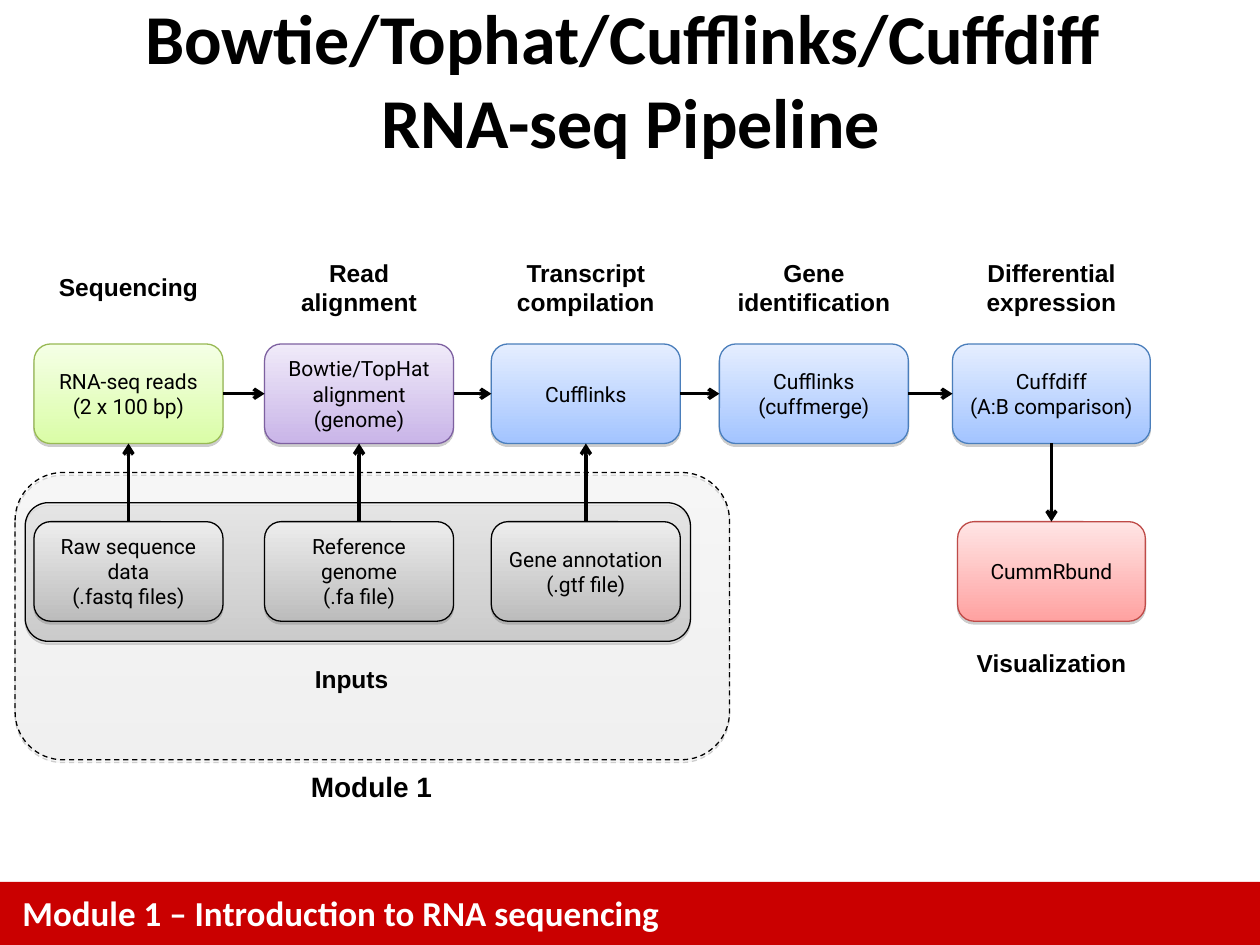
from dataclasses import dataclass

from lxml import etree
from pptx import Presentation
from pptx.dml.color import RGBColor
from pptx.enum.dml import MSO_LINE
from pptx.enum.shapes import MSO_CONNECTOR, MSO_SHAPE
from pptx.enum.text import MSO_ANCHOR, MSO_AUTO_SIZE, PP_ALIGN
from pptx.oxml.ns import qn
from pptx.util import Inches, Pt

ROUNDED, RECTANGLE = MSO_SHAPE.ROUNDED_RECTANGLE, MSO_SHAPE.RECTANGLE
STRAIGHT = MSO_CONNECTOR.STRAIGHT
LEFT, CENTER = PP_ALIGN.LEFT, PP_ALIGN.CENTER
MIDDLE, TOP_ANCHOR = MSO_ANCHOR.MIDDLE, MSO_ANCHOR.TOP
FIT_TEXT, NO_FIT = MSO_AUTO_SIZE.SHAPE_TO_FIT_TEXT, MSO_AUTO_SIZE.NONE
DASH = MSO_LINE.DASH
TOP_SITE, LEFT_SITE, BOTTOM_SITE, RIGHT_SITE = range(4)
TITLE_ONLY = 5


@dataclass(frozen=True)
class Palette:
    start: str
    end: str
    line: str


@dataclass(frozen=True)
class Theme:
    black: str = "000000"
    white: str = "FFFFFF"
    banner: str = "CA0000"
    shadow: str = "808080"
    green: Palette = Palette("F5FFE6", "DAFDA7", "98B954")
    purple: Palette = Palette("F0EAF9", "C9B5E8", "7D60A0")
    blue: Palette = Palette("E5EEFF", "A3C4FF", "4A7EBB")
    red: Palette = Palette("FFE5E5", "FFA2A1", "BE4B48")
    grey: Palette = Palette("EDEDED", "BCBCBC", "000000")
    heading_font: str = "Calibri"
    label_font: str = "Arial"
    card_font: str = "Roboto"
    title_size: int = 40
    footer_size: int = 20
    module_size: int = 16
    label_size: int = 14
    card_size: int = 12


THEME = Theme()


@dataclass(frozen=True)
class Box:
    left: float
    top: float
    width: float
    height: float

    def lengths(self) -> list[int]:
        return [Inches(value) for value in (self.left, self.top, self.width, self.height)]


@dataclass(frozen=True)
class Stage:
    label: str
    label_width: float
    text: str
    left: float
    width: float
    palette: Palette


STAGES = [
    Stage("Sequencing", 1.36, "RNA-seq reads (2 x 100 bp)", 0.27, 1.5, THEME.green),
    Stage("Read alignment", 1.36, "Bowtie/TopHat alignment (genome)", 2.1, 1.5, THEME.purple),
    Stage("Transcript compilation", 1.81, "Cufflinks", 3.9, 1.5, THEME.blue),
    Stage("Gene identification", 1.81, "Cufflinks (cuffmerge)", 5.71, 1.5, THEME.blue),
    Stage("Differential expression", 1.81, "Cuffdiff\n(A:B comparison)", 7.56, 1.57, THEME.blue),
]
INPUTS = ["Raw sequence data\n(.fastq files)", "Reference genome\n(.fa file)",
          "Gene annotation\n(.gtf file)"]
STAGE_TOP, LOWER_TOP, CARD_HEIGHT = 2.73, 4.14, 0.79
LABEL_MIDDLE = 2.28


def style_font(font, name: str, size: int, color: str, bold: bool) -> None:
    font.name, font.size, font.bold = name, Pt(size), bold
    font.color.rgb = RGBColor.from_string(color)


def add_shadow(shape) -> None:
    shape.shadow.inherit = False
    effects = shape._element.spPr.find(qn("a:effectLst"))
    shadow = etree.SubElement(effects, qn("a:outerShdw"), blurRad="0", dist=str(Pt(1.6)),
                              dir="5400000", rotWithShape="0")
    color = etree.SubElement(shadow, qn("a:srgbClr"), val=THEME.shadow)
    etree.SubElement(color, qn("a:alpha"), val="38000")


def add_panel(slide, box: Box, palette: Palette, opacity: int = 100):
    shape = slide.shapes.add_shape(ROUNDED, *box.lengths())
    shape.fill.gradient()
    shape.fill.gradient_angle = 270
    for stop, color in zip(shape.fill.gradient_stops, (palette.start, palette.end)):
        stop.color.rgb = RGBColor.from_string(color)
    if opacity < 100:
        for color in shape._element.spPr.iter(qn("a:srgbClr")):
            etree.SubElement(color, qn("a:alpha"), val=str(opacity * 1000))
    shape.line.color.rgb = RGBColor.from_string(palette.line)
    shape.line.width = Pt(0.75)
    add_shadow(shape)
    return shape


def add_card(slide, box: Box, text: str, palette: Palette):
    shape = add_panel(slide, box, palette)
    frame = shape.text_frame
    frame.text = text
    frame.vertical_anchor = MIDDLE
    for paragraph in frame.paragraphs:
        paragraph.alignment = CENTER
        style_font(paragraph.font, THEME.card_font, THEME.card_size, THEME.black, False)
    return shape


def add_label(slide, box: Box, text: str, size: int = THEME.label_size,
              font: str = THEME.label_font, color: str = THEME.black,
              alignment: PP_ALIGN = CENTER) -> None:
    text_box = slide.shapes.add_textbox(*box.lengths())
    frame = text_box.text_frame
    frame.word_wrap, frame.auto_size = True, FIT_TEXT
    frame.vertical_anchor = TOP_ANCHOR
    paragraph = frame.paragraphs[0]
    paragraph.text, paragraph.alignment = text, alignment
    style_font(paragraph.font, font, size, color, True)


def add_arrow(slide, source, source_site: int, target, target_site: int) -> None:
    connector = slide.shapes.add_connector(STRAIGHT, 0, 0, 0, 0)
    connector.begin_connect(source, source_site)
    connector.end_connect(target, target_site)
    connector.line.color.rgb = RGBColor.from_string(THEME.black)
    connector.line.width = Pt(2)
    properties = connector._element.spPr
    etree.SubElement(properties.find(qn("a:ln")), qn("a:tailEnd"), type="arrow")
    etree.SubElement(properties, qn("a:effectLst"))


def add_footer(slide) -> None:
    banner = slide.shapes.add_shape(RECTANGLE, *Box(0, 7, 10, 0.5).lengths())
    banner.shadow.inherit = False
    banner.fill.solid()
    banner.fill.fore_color.rgb = RGBColor.from_string(THEME.banner)
    banner.line.fill.background()
    add_label(slide, Box(0.08, 7.03, 7.33, 0.44), "Module 1 – Introduction to RNA sequencing",
              THEME.footer_size, THEME.heading_font, THEME.white, LEFT)


def add_title(slide) -> None:
    title = slide.shapes.title
    title.left, title.top, title.width, title.height = Box(0.17, 0, 9.67, 1.25).lengths()
    frame = title.text_frame
    frame.auto_size, frame.vertical_anchor = NO_FIT, MIDDLE
    paragraph = frame.paragraphs[0]
    paragraph.text = "Bowtie/Tophat/Cufflinks/Cuffdiff \vRNA-seq Pipeline"
    paragraph.alignment = CENTER
    style_font(paragraph.font, THEME.heading_font, THEME.title_size, THEME.black, True)


def add_stage(slide, stage: Stage):
    height = 0.57 if " " in stage.label else 0.34
    left = stage.left + (stage.width - stage.label_width) / 2
    add_label(slide, Box(left, LABEL_MIDDLE - height / 2, stage.label_width, height),
              stage.label)
    return add_card(slide, Box(stage.left, STAGE_TOP, stage.width, CARD_HEIGHT),
                    stage.text, stage.palette)


def main() -> None:
    presentation = Presentation()
    presentation.slide_width, presentation.slide_height = Inches(10), Inches(7.5)
    slide = presentation.slides.add_slide(presentation.slide_layouts[TITLE_ONLY])
    add_footer(slide)
    module_panel = add_panel(slide, Box(0.12, 3.75, 5.67, 2.28), THEME.grey, 13)
    module_panel.line.dash_style = DASH
    add_panel(slide, Box(0.2, 3.99, 5.28, 1.1), THEME.grey, 51)
    add_title(slide)

    stage_cards = [add_stage(slide, stage) for stage in STAGES]
    for source, target in zip(stage_cards, stage_cards[1:]):
        add_arrow(slide, source, RIGHT_SITE, target, LEFT_SITE)

    viewer = add_card(slide, Box(7.6, LOWER_TOP, 1.49, CARD_HEIGHT), "CummRbund", THEME.red)
    add_label(slide, Box(7.44, 5.09, 1.81, 0.34), "Visualization")
    add_arrow(slide, stage_cards[-1], BOTTOM_SITE, viewer, TOP_SITE)

    for text, stage, stage_card in zip(INPUTS, STAGES, stage_cards):
        box = Box(stage.left, LOWER_TOP, stage.width, CARD_HEIGHT)
        input_card = add_card(slide, box, text, THEME.grey)
        add_arrow(slide, input_card, TOP_SITE, stage_card, BOTTOM_SITE)

    add_label(slide, Box(2.4, 5.22, 0.86, 0.34), "Inputs", alignment=LEFT)
    add_label(slide, Box(2.37, 6.06, 1.2, 0.37), "Module 1", THEME.module_size, alignment=LEFT)
    presentation.save("out.pptx")


if __name__ == "__main__":
    main()
